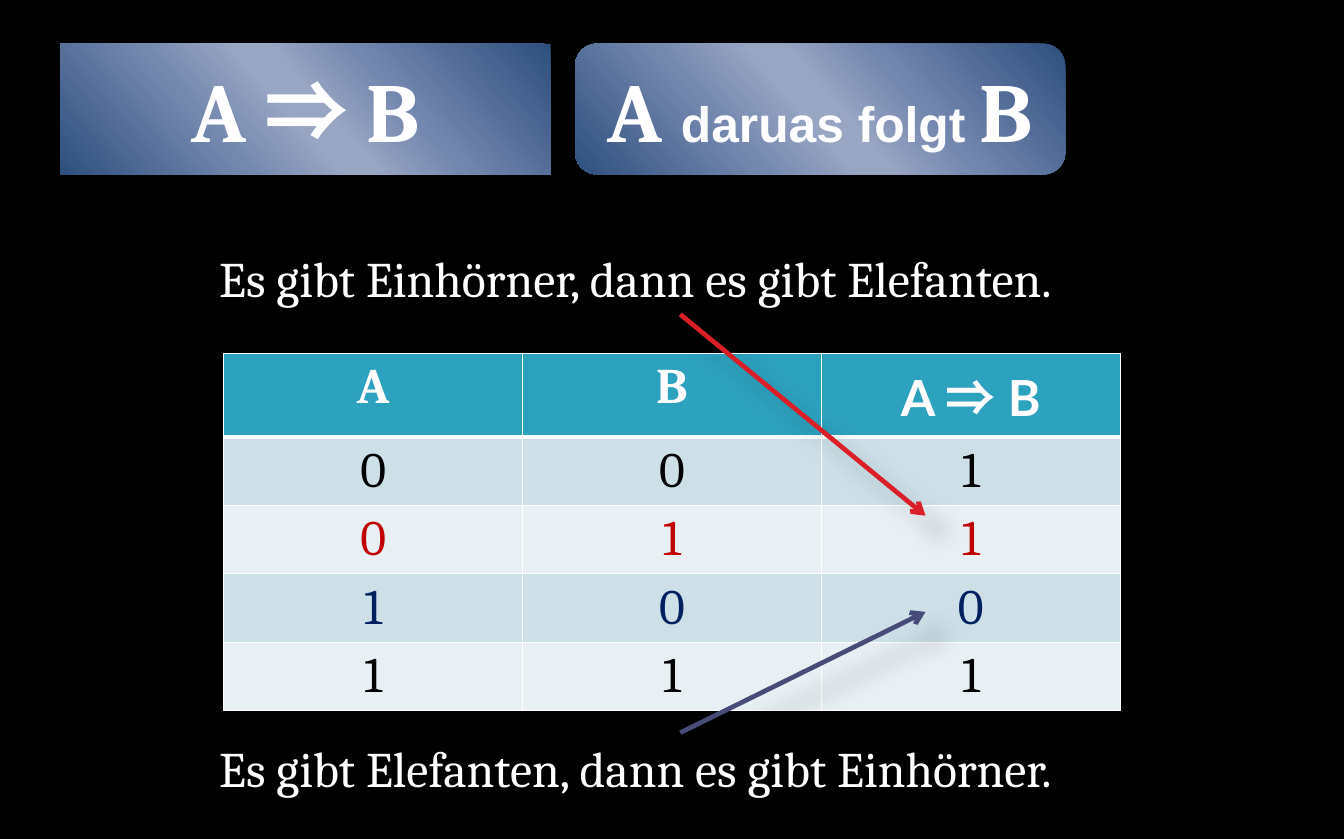
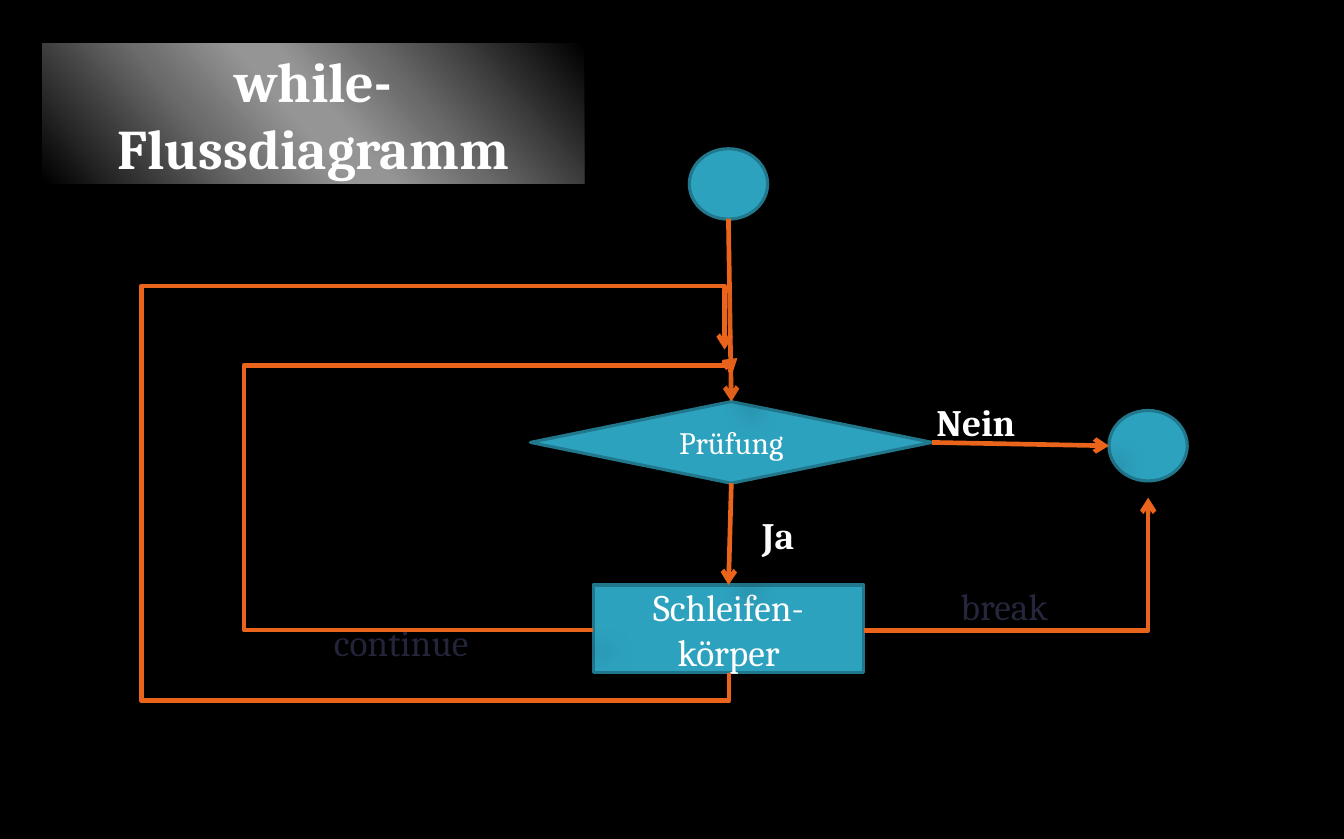
from itertools import product

from pptx import Presentation
from pptx.dml.color import RGBColor
from pptx.enum.shapes import MSO_CONNECTOR, MSO_SHAPE
from pptx.enum.text import MSO_ANCHOR, MSO_AUTO_SIZE, PP_ALIGN
from pptx.oxml import parse_xml
from pptx.oxml.ns import nsdecls, qn
from pptx.util import Inches, Pt

STRAIGHT, ELBOW = MSO_CONNECTOR.STRAIGHT, MSO_CONNECTOR.ELBOW
ROUNDED, OVAL = MSO_SHAPE.ROUNDED_RECTANGLE, MSO_SHAPE.OVAL
DECISION, RECTANGLE = MSO_SHAPE.FLOWCHART_DECISION, MSO_SHAPE.RECTANGLE
LEFT, CENTER, MIDDLE = PP_ALIGN.LEFT, PP_ALIGN.CENTER, MSO_ANCHOR.MIDDLE
TOP_SITE, LEFT_SITE, BOTTOM_SITE, RIGHT_SITE = range(4)

WIDTH, HEIGHT = Inches(12.01), Inches(7.5)
SERIF, SANS, TABLE_SANS, SYMBOL = "Cambria", "Arial", "Lato", "Noto Sans CJK KR"
BLACK, WHITE, TEAL, TEAL_EDGE = "000000", "FFFFFF", "2DA2BF", "21788D"
RED, INDIGO, ORANGE, DIM = "DA1F28", "474B78", "EB641B", "24263C"
BLUE_BAND = ["2E4F7E", "7487AF", "98A5C3", "98A5C3", "7589AF", "2E4F7E"]
GREY_BAND = ["000000", "6B6B6B", "959595", "959595", "6C6C6C", "000000"]
BAND_STOPS = [0, 33, 47, 53, 68, 100]
NS = nsdecls("a")
color = RGBColor.from_string


def area(*shares):
    """Turn alternating horizontal and vertical percentages of the slide into lengths."""
    return [round(share * (HEIGHT if index % 2 else WIDTH) / 100)
            for index, share in enumerate(shares)]


def write(frame, lines, ink=WHITE, bold=False, align=CENTER):
    """Fill a text frame; each line is a list of (text, font, size) spans."""
    frame.word_wrap = True
    for index, line in enumerate(lines):
        para = frame.add_paragraph() if index else frame.paragraphs[0]
        para.alignment = align
        for text, font, size in line:
            span = para.add_run()
            span.text = text
            span.font.name, span.font.size, span.font.bold = font, Pt(size), bold
            span.font.color.rgb = color(ink)
            span.font._element.append(parse_xml(f'<a:ea {NS} typeface="{font}"/>'))


deck = Presentation()
deck.slide_width, deck.slide_height = WIDTH, HEIGHT
backdrop = deck.slide_master.background.fill
backdrop.solid()
backdrop.fore_color.rgb = color(BLACK)
title_only = deck.slide_layouts[5]
logic = deck.slides.add_slide(title_only)
flow = deck.slides.add_slide(title_only)

# Gradient headings of both slides
meaning = logic.shapes.add_shape(ROUNDED, *area(42.8, 5.2, 36.47, 15.6))
headings = [
    (logic.shapes.title, (4.5, 5.2, 36.47, 15.6), BLUE_BAND,
     [("A ", SERIF, 54), ("⇒", SYMBOL, 54), (" B", SERIF, 54)]),
    (meaning, (42.8, 5.2, 36.47, 15.6), BLUE_BAND,
     [("A ", SERIF, 54), ("daruas folgt ", SANS, 32), ("B", SERIF, 54)]),
    (flow.shapes.title, (3.16, 5.2, 40.3, 16.67), GREY_BAND,
     [("while-Flussdiagramm", SERIF, 36)]),
]
for heading, shares, band, spans in headings:
    heading.left, heading.top, heading.width, heading.height = area(*shares)
    properties = heading._element.spPr
    if properties.find(qn("a:prstGeom")) is None:
        properties.append(parse_xml(f'<a:prstGeom {NS} prst="roundRect"><a:avLst/></a:prstGeom>'))
    stops = "".join(f'<a:gs pos="{stop * 1000}"><a:srgbClr val="{shade}"/></a:gs>'
                    for stop, shade in zip(BAND_STOPS, band))
    properties.append(parse_xml(f'<a:gradFill {NS} rotWithShape="1"><a:gsLst>{stops}</a:gsLst>'
                                f'<a:lin ang="{139 * 60000}" scaled="0"/></a:gradFill>'))
    heading.line.fill.background()
    heading.shadow.inherit = False
    heading.text_frame.auto_size = MSO_AUTO_SIZE.NONE
    heading.text_frame.vertical_anchor = MIDDLE
    write(heading.text_frame, [spans], bold=True)

# Truth table
header = [[("A", SERIF, 32)], [("B", SERIF, 32)],
          [("A ", TABLE_SANS, 32), ("⇒", SYMBOL, 32), (" B", TABLE_SANS, 32)]]
truth_rows = [("001", BLACK), ("011", "C00000"), ("100", "002060"), ("111", BLACK)]
table = logic.shapes.add_table(5, 3, *area(16.65, 42.13, 66.7, 39.33)).table
for row, column in product(range(5), range(3)):
    cell = table.cell(row, column)
    cell.fill.solid()
    if row == 0:
        cell.fill.fore_color.rgb = color(TEAL)
        write(cell.text_frame, [header[column]], bold=True)
    else:
        values, ink = truth_rows[row - 1]
        cell.fill.fore_color.rgb = color("CDE0E8" if row % 2 else "E8F0F4")
        write(cell.text_frame, [[(values[column], SERIF, 32)]], ink)
    edges = {"L": 1, "R": 1, "T": 3 if row == 1 else 1, "B": 3 if row == 0 else 1}
    for position, (side, points) in enumerate(edges.items()):
        cell._tc.tcPr.insert(position, parse_xml(
            f'<a:ln{side} {NS} w="{Pt(points)}"><a:solidFill><a:srgbClr val="{WHITE}"/>'
            f'</a:solidFill></a:ln{side}>'))

# Nodes of the flow chart
nodes = []
for kind, shares, lines in [
    (DECISION, (39.47, 47.87, 29.89, 9.73), [[("Prüfung", SERIF, 20)]]),
    (RECTANGLE, (44.13, 69.73, 20.15, 10.4),
     [[("Schleifen-", SERIF, 24)], [("körper", SERIF, 24)]]),
    (OVAL, (51.29, 17.73, 5.83, 8.4), []),
    (OVAL, (82.51, 48.93, 5.83, 8.4), []),
]:
    node = flow.shapes.add_shape(kind, *area(*shares))
    node.fill.solid()
    node.fill.fore_color.rgb = color(TEAL)
    node.line.color.rgb = color(TEAL_EDGE)
    node.line.width = Pt(2)
    node.shadow.inherit = False
    node.text_frame.vertical_anchor = MIDDLE
    write(node.text_frame, lines)
    nodes.append(node)
check, body = nodes[:2]

# Sentences and labels
for page, text, shares, size, ink, bold, align in [
    (logic, "Es gibt Einhörner, dann es gibt Elefanten.",
     (15.49, 28.93, 70.19, 8.53), 32, WHITE, False, LEFT),
    (logic, "Es gibt Elefanten, dann es gibt Einhörner.",
     (15.49, 87.33, 70.19, 8.53), 32, WHITE, False, LEFT),
    (flow, "Nein", (68.86, 46.93, 10.41, 6.67), 24, WHITE, True, LEFT),
    (flow, "Ja", (55.87, 60.4, 10.41, 6.67), 24, WHITE, True, LEFT),
    (flow, "continue", (20.73, 73.2, 18.23, 6.67), 24, DIM, False, CENTER),
    (flow, "break", (65.61, 68.8, 18.23, 6.67), 24, DIM, False, CENTER),
]:
    label = page.shapes.add_textbox(*area(*shares))
    write(label.text_frame, [[(text, SERIF, size)]], ink, bold, align)

# Straight arrows, glued to the nodes where they meet a corner or side
arrows = []
for page, ends, ink, source, target in [
    (logic, (50.62, 37.47, 68.86, 61.47), RED, None, None),
    (logic, (50.62, 87.33, 68.86, 72.93), INDIGO, None, None),
    (flow, (54.2, 26.07, 54.39, 47.87), ORANGE, None, (check, TOP_SITE)),
    (flow, (54.39, 57.6, 54.2, 69.73), ORANGE, (check, BOTTOM_SITE), (body, TOP_SITE)),
    (flow, (69.36, 52.73, 82.51, 53.13), ORANGE, (check, RIGHT_SITE), None),
]:
    arrow = page.shapes.add_connector(STRAIGHT, *area(*ends))
    if source:
        arrow.begin_connect(*source)
    if target:
        arrow.end_connect(*target)
    arrows.append((arrow, ink))

# Bent arrows that leave the loop body
for site, preset, shares, turn, flip, bends in [
    (LEFT_SITE, "bentConnector4", (44.13, 42.67, 10.74, 32.4), 180, "flipH", [-241900, 97300]),
    (BOTTOM_SITE, "bentConnector5", (42.05, 60.67, 24.06, 0.53), 90, "flipH",
     [-8600, 13208000, 119700]),
    (RIGHT_SITE, "bentConnector2", (64.28, 59.33, 21.15, 15.8), 0, "flipV", []),
]:
    arrow = flow.shapes.add_connector(ELBOW, 0, 0, 0, 0)
    arrow.begin_connect(body, site)
    arrow.left, arrow.top, arrow.width, arrow.height = area(*shares)
    frame = arrow._element.spPr.find(qn("a:xfrm"))
    frame.set("rot", str(turn * 60000))
    for name in ("flipH", "flipV"):
        frame.set(name, str(int(name == flip)))
    guides = "".join(f'<a:gd name="adj{number}" fmla="val {bend}"/>'
                     for number, bend in enumerate(bends, 1 ))
    if len(bends) == 0:
        guides = ""
    geometry = arrow._element.spPr.find(qn("a:prstGeom"))
    geometry.getparent().replace(geometry, parse_xml(
        f'<a:prstGeom {NS} prst="{preset}"><a:avLst>{guides}</a:avLst></a:prstGeom>'))
    arrows.append((arrow, ORANGE))

for arrow, ink in arrows:
    arrow.line.color.rgb = color(ink)
    arrow.line.width = Pt(3)
    properties = arrow._element.spPr
    properties.find(qn("a:ln")).append(parse_xml(f'<a:tailEnd {NS} type="arrow"/>'))
    properties.append(parse_xml(
        f'<a:effectLst {NS}><a:outerShdw blurRad="{Pt(15)}" dist="{Pt(18)}" '
        f'dir="{45 * 60000}" rotWithShape="0"><a:srgbClr val="{BLACK}">'
        '<a:alpha val="26000"/></a:srgbClr></a:outerShdw></a:effectLst>'))

deck.save("out.pptx")
